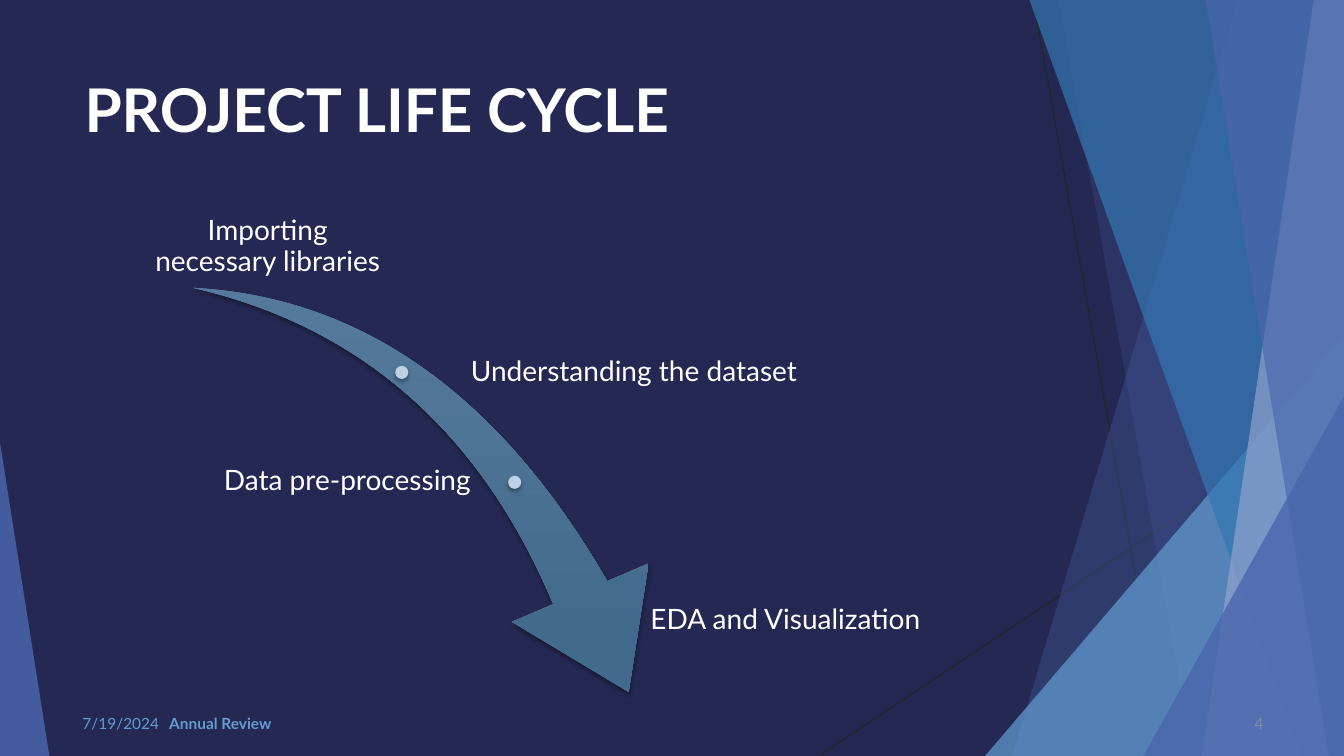
"""Build the project life cycle slide."""
from lxml import etree
from pptx import Presentation, util as u
from pptx.dml.color import RGBColor
from pptx.enum import shapes, text
from pptx.oxml.ns import qn

W, H = 13.33, 7.5
FONT, WHITE, SKY = "Lato", "FFFFFF", "629DD1"
S, AL, AN = shapes.MSO_SHAPE, text.PP_ALIGN, text.MSO_ANCHOR

RULES = [((10.25, 0), (11.58, H)), ((W, 4.03), (8.12, H))]
# kind, values, colour, opacity
FACETS = [
    ("band", (12.28, 10.04), "4A66AC", 30),
    ("band", (10.5, 11.83), "4A66AC", 20),
    ("triangle", (9.77, 3.56, 4.17, 1), SKY, 72),
    ("band", (10.21, 12.91), "3477B2", 70),
    ("band", (13.03, 11.92), "90A2CF", 70),
    ("band", (11.96, 13.18), "4A66AC", 65),
    ("triangle", (11.34, 1.99, 3.57, 1), "4A66AC", 80),
    ("triangle", (0, 0.49, 3.11, 0), "4A66AC", 85),
]
ARROW = (1.8, 3.01, 5.08, 3.54)
DOTS = [(3.92, 3.63), (5.04, 4.72)]
DOT = 0.13
STEPS = [
    ("Importing necessary libraries", (1.46, 1.84, 2.39, 0.94), AL.CENTER, AN.BOTTOM),
    ("Understanding the dataset", (4.64, 3.22, 3.3, 0.94), AL.LEFT, AN.MIDDLE),
    ("Data pre-processing", (1.46, 4.31, 3.24, 0.94), AL.RIGHT, AN.MIDDLE),
    ("EDA and Visualization", (6.17, 5.98, 3.24, 0.94), AL.CENTER, AN.TOP),
]
LABELS = [
    ("PROJECT LIFE CYCLE", (0.74, 0.67, 9.4, 1.44), AL.LEFT, AN.TOP, 43, WHITE, True),
    ("7/19/2024", (0.72, 6.98, 3, 0.4), AL.LEFT, AN.MIDDLE, 11, SKY, False),
    ("Annual Review", (1.58, 6.98, 4.5, 0.4), AL.LEFT, AN.MIDDLE, 11, SKY, True),
    ("4", (11.8, 6.98, 0.83, 0.4), AL.RIGHT, AN.MIDDLE, 11, "7F8FA9", False),
]


def inches(values):
    """Convert numbers to lengths."""
    return [u.Inches(v) for v in values]


def paint(fill, color, opacity=100):
    """Give a fill a solid colour and opacity."""
    fill.solid()
    fill.fore_color.rgb = RGBColor.from_string(color)
    if opacity < 100:
        clr = fill._xPr.find(".//" + qn("a:srgbClr"))
        etree.SubElement(clr, qn("a:alpha"), val=str(opacity * 1000))


def add_facet(sl, kind, values, color, opacity):
    """Add one translucent background facet."""
    if kind == "band":
        top, bottom = values
        points = [inches(pt) for pt in [(W, 0), (W, H), (bottom, H)]]
        fb = sl.shapes.build_freeform(u.Inches(top), 0)
        fb.add_line_segments(points, close=True)
        sp = fb.convert_to_shape()
    else:
        x, w, h, apex = values
        sp = sl.shapes.add_shape(S.ISOSCELES_TRIANGLE, *inches((x, H - h, w, h)))
        sp.adjustments[0] = apex
    sp.shadow.inherit = False
    sp.line.fill.background()
    paint(sp.fill, color, opacity)


def add_shadow(sp):
    """Add a soft shadow falling straight down."""
    sp.shadow.inherit = False
    effects = sp._element.spPr.find(qn("a:effectLst"))
    shadow = etree.SubElement(effects, qn("a:outerShdw"), blurRad=str(u.Pt(3)),
                              dist=str(u.Pt(2)), dir="5400000", rotWithShape="0")
    clr = etree.SubElement(shadow, qn("a:srgbClr"), val="000000")
    etree.SubElement(clr, qn("a:alpha"), val="35000")


def add_text(sl, content, box, align, anchor, size, color, bold=False, inset=None, spacing=None):
    """Add one text box."""
    tf = sl.shapes.add_textbox(*inches(box)).text_frame
    frame = {"word_wrap": True, "vertical_anchor": anchor}
    if inset is not None:
        sides = ("left", "top", "right", "bottom")
        frame.update({f"margin_{side}": u.Inches(inset) for side in sides})
    for name, value in frame.items():
        setattr(tf, name, value)
    p = tf.paragraphs[0]
    p.alignment, p.line_spacing = align, spacing
    r = p.add_run()
    r.text = content
    for name, value in {"name": FONT, "size": u.Pt(size), "bold": bold}.items():
        setattr(r.font, name, value)
    r.font.color.rgb = RGBColor.from_string(color)


def add_arrow(sl):
    """Add the sweeping arrow and its milestone dots."""
    sp = sl.shapes.add_shape(S.SWOOSH_ARROW, *inches(ARROW))
    sp.rotation = 73.3
    sp.adjustments[0], sp.adjustments[1] = 0.163, 0.314
    sp.fill.gradient()
    sp.fill.gradient_angle = 270
    stops = [(0, "5B7EA0"), (0.78, "426A8D")]
    for stop, (position, color) in zip(sp.fill.gradient_stops, stops):
        stop.position = position
        stop.color.rgb = RGBColor.from_string(color)
    sp._element.spPr.find(qn("a:gradFill")).set("rotWithShape", "0")
    sp.line.fill.background()
    add_shadow(sp)
    for x, y in DOTS:
        sp = sl.shapes.add_shape(S.OVAL, *inches((x, y, DOT, DOT)))
        paint(sp.fill, "BED1E7")
        sp.line.fill.background()
        add_shadow(sp)


def main():
    """Assemble and save the slide."""
    prs = Presentation()
    prs.slide_width, prs.slide_height = inches((W, H))
    sl = prs.slides.add_slide(prs.slide_layouts[6])
    paint(sl.background.fill, "242852")
    for start, end in RULES:
        ln = sl.shapes.add_connector(shapes.MSO_CONNECTOR.STRAIGHT, *inches(start + end))
        ln.line.width = u.Pt(0.75)
        paint(ln.line.fill, "262626")
        etree.SubElement(ln._element.spPr, qn("a:effectLst"))
    for facet in FACETS:
        add_facet(sl, *facet)
    for label in LABELS:
        add_text(sl, *label)
    add_arrow(sl)
    for step in STEPS:
        add_text(sl, *step, size=20, color=WHITE, inset=0.03, spacing=0.9)
    prs.save("out.pptx")


if __name__ == "__main__":
    main()
